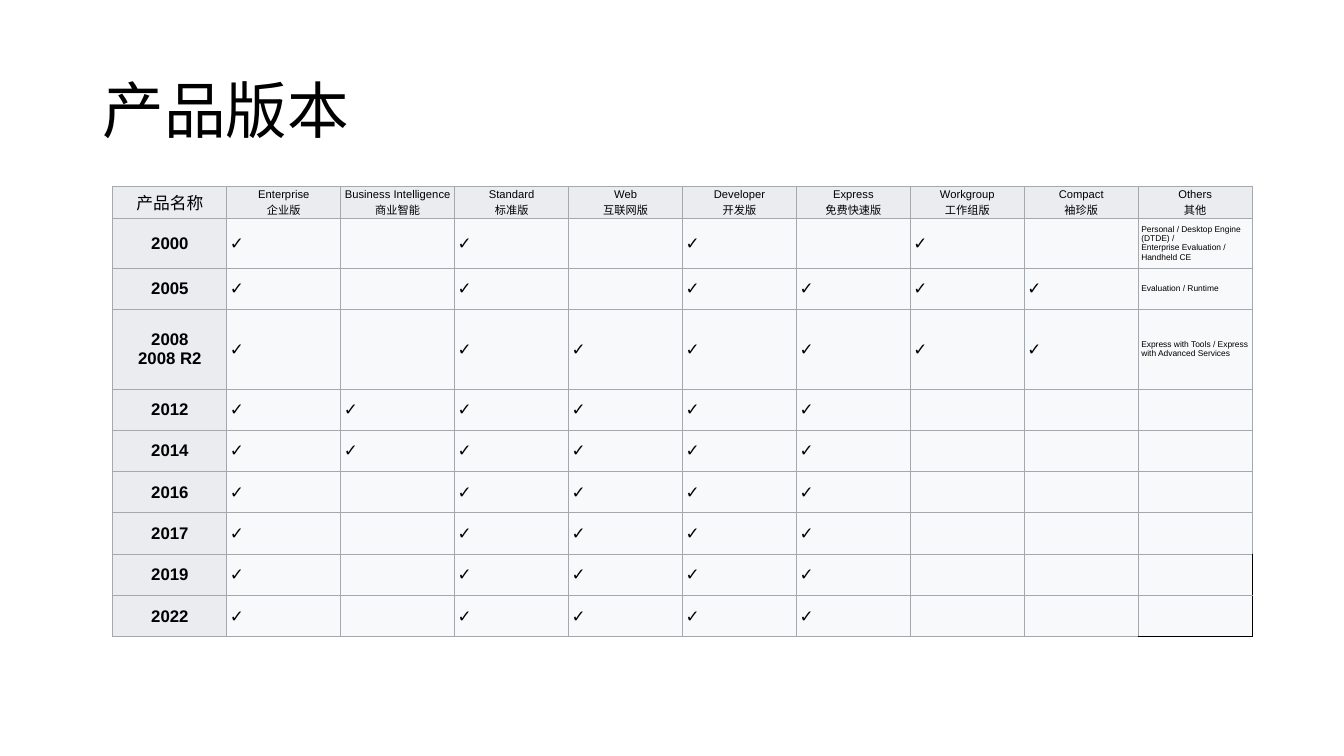
from pptx import Presentation
from pptx.dml.color import RGBColor
from pptx.enum.text import MSO_ANCHOR, PP_ALIGN
from pptx.oxml import parse_xml
from pptx.oxml.ns import nsdecls
from pptx.util import Inches, Pt

MIDDLE = MSO_ANCHOR.MIDDLE
CENTER, LEFT = PP_ALIGN.CENTER, PP_ALIGN.LEFT
COLORS = {"text": "000000", "head": "EAECF0", "body": "F8F9FA", "border": "A2A9B1", "edge": "000000"}
FORMATS = {
    "title": {"size": Pt(44), "bold": False},
    "corner": {"size": Pt(12), "bold": False},
    "edition": {"size": Pt(8), "bold": False},
    "version": {"size": Pt(12), "bold": True},
    "check": {"size": Pt(12), "bold": False},
    "other": {"size": Pt(6), "bold": False},
}

HEADERS = [
    "产品名称", "Enterprise\n企业版", "Business Intelligence\n商业智能", "Standard\n标准版",
    "Web\n互联网版", "Developer\n开发版", "Express\n免费快速版", "Workgroup\n工作组版",
    "Compact\n袖珍版", "Others\n其他",
]
VERSIONS = [
    ("2000", (1, 3, 5, 7), "Personal / Desktop Engine (DTDE) / \vEnterprise Evaluation / Handheld CE", 0.49),
    ("2005", (1, 3, 5, 6, 7, 8), "Evaluation / Runtime", 0.41),
    ("2008\n2008 R2", (1, 3, 4, 5, 6, 7, 8), "Express with Tools / Express with Advanced Services", 0.79),
    ("2012", (1, 2, 3, 4, 5, 6), "", 0.41),
    ("2014", (1, 2, 3, 4, 5, 6), "", 0.41),
]
VERSIONS += [(year, (1, 3, 4, 5, 6), "", 0.41) for year in ("2016", "2017", "2019", "2022")]


def write_text(tf, text, style, align):
    tf.text = text
    for p in tf.paragraphs:
        p.alignment = align
        for font in [p.font] + [r.font for r in p.runs]:
            font.name = "Arial"
            font.color.rgb = RGBColor.from_string(COLORS["text"])
            for name, value in FORMATS[style].items():
                setattr(font, name, value)


def set_borders(cell, edges):
    tcPr = cell._tc.get_or_add_tcPr()
    for i, side in enumerate("LRTB"):
        color, width = ("edge", Pt(1)) if side in edges else ("border", Pt(0.75))
        tcPr.insert(i, parse_xml(
            f'<a:ln{side} {nsdecls("a")} w="{int(width)}"><a:solidFill>'
            f'<a:srgbClr val="{COLORS[color]}"/></a:solidFill></a:ln{side}>'))


prs = Presentation()
prs.slide_width, prs.slide_height = Inches(13.33), Inches(7.5)
s = prs.slides.add_slide(prs.slide_layouts[6])

title = s.shapes.add_textbox(Inches(0.92), Inches(0.4), Inches(11.5), Inches(1.45))
tf = title.text_frame
tf.word_wrap = True
tf.vertical_anchor = MIDDLE
write_text(tf, "产品版本", "title", LEFT)
tf.paragraphs[0].line_spacing = 0.9

rows = [HEADERS]
for version, checks, other, height in VERSIONS:
    rows.append([version] + ["✓" if col in checks else "" for col in range(1, 9)] + [other])
heights = [0.32] + [version[3] for version in VERSIONS]
last_row, last_col = len(rows) - 1, len(HEADERS) - 1

frame = s.shapes.add_table(len(rows), len(HEADERS), Inches(1.12), Inches(1.85),
                           Inches(11.3), Inches(sum(heights)))
table = frame.table
table.first_row = table.horz_banding = False
for column in table.columns:
    column.width = Inches(1.13)

for i, texts in enumerate(rows):
    table.rows[i].height = Inches(heights[i])
    for j, text in enumerate(texts):
        cell = table.cell(i, j)
        cell.margin_left = cell.margin_right = Inches(0.03)
        cell.margin_top = cell.margin_bottom = Inches(0.02)
        cell.vertical_anchor = MIDDLE
        is_head = i == 0 or j == 0
        if i == 0:
            style = "edition" if j else "corner"
        elif j == 0:
            style = "version"
        else:
            style = "other" if j == last_col else "check"
        write_text(cell.text_frame, text, style, CENTER if is_head else LEFT)
        cell.fill.solid()
        cell.fill.fore_color.rgb = RGBColor.from_string(COLORS["head" if is_head else "body"])
        edges = ""
        if j == last_col and i >= last_row - 1:
            edges = "RB" if i == last_row else "R"
        set_borders(cell, edges)

prs.save("out.pptx")
